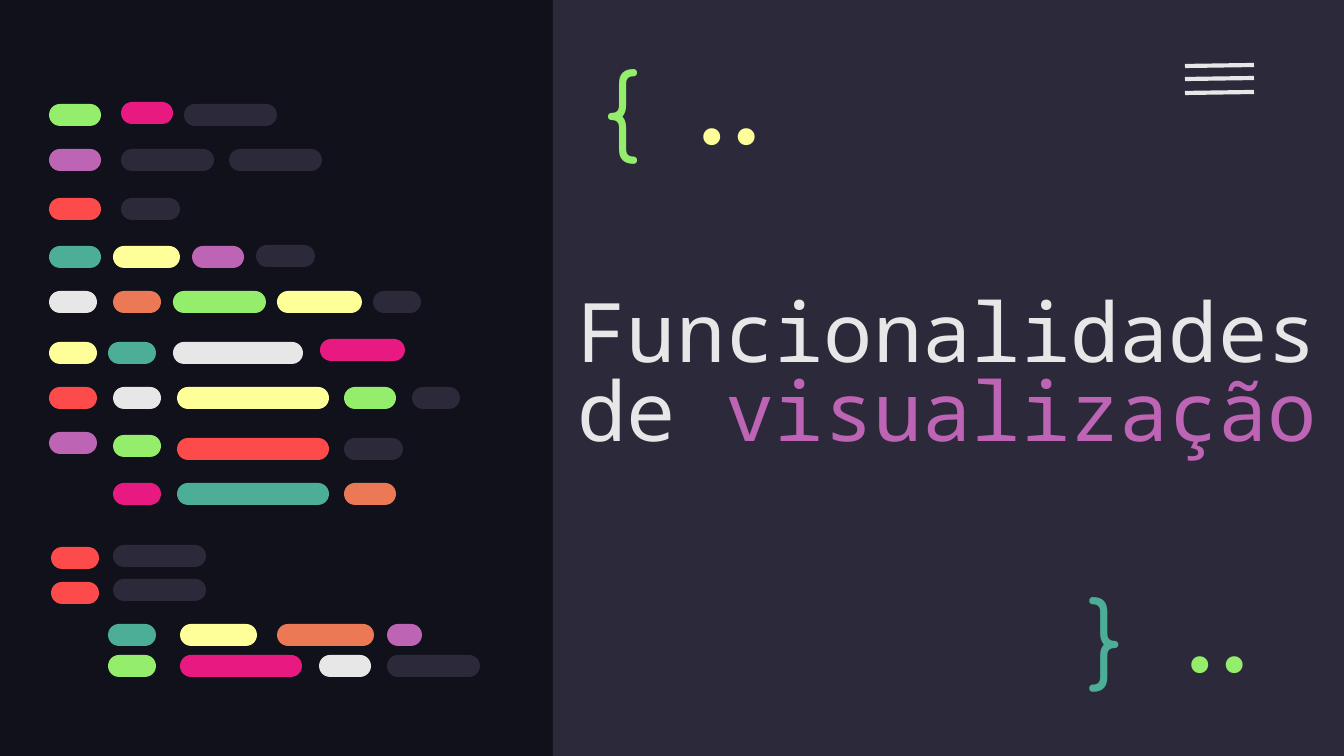
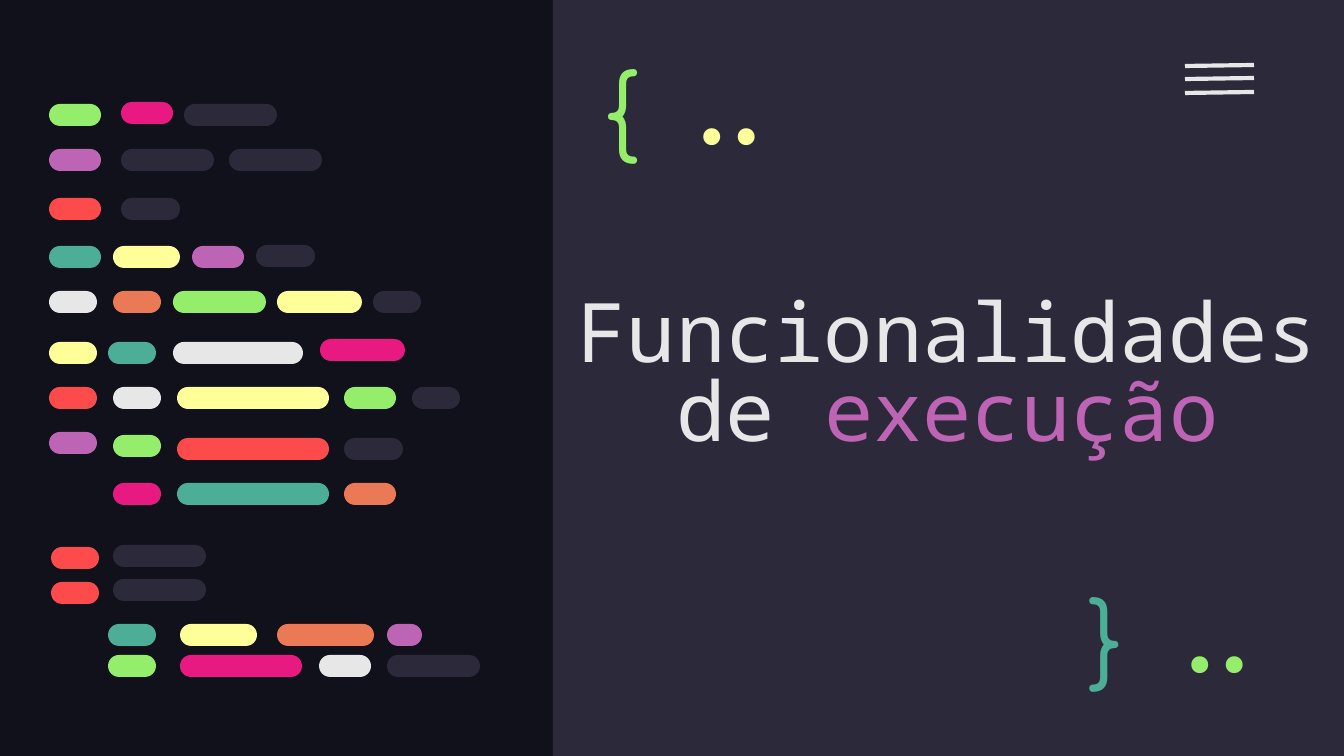
import pptx
import pptx.dml.color
import pptx.enum.shapes
import pptx.enum.text
import pptx.oxml
import pptx.util

RGBColor = pptx.dml.color.RGBColor
SHAPE = pptx.enum.shapes.MSO_SHAPE
ALIGN = pptx.enum.text.PP_ALIGN
ANCHOR = pptx.enum.text.MSO_ANCHOR

NIGHT = RGBColor(0x10, 0x11, 0x1A)
SLATE = RGBColor(0x2C, 0x29, 0x3A)
WHITE = RGBColor(0xE7, 0xE7, 0xE7)
GREEN = RGBColor(0x94, 0xEE, 0x6B)
PINK = RGBColor(0xE8, 0x1A, 0x81)
PURPLE = RGBColor(0xBD, 0x64, 0xB5)
RED = RGBColor(0xFD, 0x4A, 0x4A)
TEAL = RGBColor(0x4C, 0xAE, 0x97)
YELLOW = RGBColor(0xFF, 0xFF, 0x99)
ORANGE = RGBColor(0xEC, 0x79, 0x55)

TITLE_FONT = "Noto Sans Mono"
BRACE_FONT = "Comfortaa"
DOTS_FONT = "Fira Code"

EMU_PER_PX = 914400 / 134.4
SLIDE_W, SLIDE_H = 1344, 756
PANEL = (553, 0, 791, 756)
CODE = (49, 102, 431, 575)
PILL_H = 22
INSET = 13

# Each row: top, then (left, width, colour, optional vertical shift).
CODE_ROWS = [
    (2, [(0, 52, GREEN), (72, 52, PINK, -2), (135, 93, SLATE)]),
    (47, [(0, 52, PURPLE), (72, 93, SLATE), (180, 93, SLATE)]),
    (96, [(0, 52, RED), (72, 59, SLATE)]),
    (144, [(0, 52, TEAL), (64, 67, YELLOW), (143, 52, PURPLE), (207, 59, SLATE, -1)]),
    (189, [(0, 48, WHITE), (64, 48, ORANGE), (124, 93, GREEN), (228, 85, YELLOW),
           (324, 48, SLATE)]),
    (240, [(0, 48, YELLOW), (59, 48, TEAL), (124, 130, WHITE), (271, 85, PINK, -3)]),
    (285, [(0, 48, RED), (64, 48, WHITE), (128, 152, YELLOW), (295, 52, GREEN),
           (363, 48, SLATE)]),
    (330, [(0, 48, PURPLE), (64, 48, GREEN, 3), (128, 152, RED, 6), (295, 59, SLATE, 6)]),
    (381, [(64, 48, PINK), (128, 152, TEAL), (295, 52, ORANGE)]),
    (445, [(2, 48, RED), (64, 93, SLATE, -2)]),
    (480, [(2, 48, RED), (64, 93, SLATE, -3)]),
    (522, [(59, 48, TEAL), (131, 77, YELLOW), (228, 97, ORANGE), (338, 35, PURPLE)]),
    (553, [(59, 48, GREEN), (131, 122, PINK), (270, 52, WHITE), (338, 93, SLATE)]),
]


def px(n):
    return pptx.util.Emu(round(n * EMU_PER_PX))


def add_block(shapes, kind, x, y, w, h, color):
    s = shapes.add_shape(kind, px(x), px(y), px(w), px(h))
    s.shadow.inherit = False
    s.fill.solid()
    s.fill.fore_color.rgb = color
    s.line.fill.background()
    return s


def set_frame(tf, anchor):
    tf.word_wrap = True
    tf.auto_size = pptx.enum.text.MSO_AUTO_SIZE.NONE
    tf.vertical_anchor = anchor
    tf.margin_left = tf.margin_right = tf.margin_top = tf.margin_bottom = px(INSET)


def set_font(r, font, size, color):
    r.font.name = font
    r.font.size = pptx.util.Pt(size)
    r.font.color.rgb = color


def add_symbol(slide, x, y, w, h, text, font, color, align, anchor):
    tf = slide.shapes.add_textbox(px(x), px(y), px(w), px(h)).text_frame
    set_frame(tf, anchor)
    p = tf.paragraphs[0]
    p.text = text
    p.alignment = align
    set_font(p.runs[0], font, 50, color)


def add_menu(shapes, x, y, w):
    grp = shapes.add_group_shape()
    for i in range(3):
        top = y + i * 27 // 2
        line = grp.shapes.add_connector(
            pptx.enum.shapes.MSO_CONNECTOR.STRAIGHT, px(x), px(top), px(x + w), px(top - 1))
        line.line.color.rgb = WHITE
        line.line.width = pptx.util.Pt(2.25)
        sp_pr = line.element.spPr
        sp_pr.append(sp_pr.makeelement(pptx.oxml.ns.qn("a:effectLst"), {}))
    return grp


def move_backdrop_to_layout(slide, layout, box):
    x, y, w, h = box
    panel = add_block(slide.shapes, SHAPE.RECTANGLE, x, y, w, h, SLATE)
    menu = add_menu(slide.shapes, x + 632, y + 66, 69)
    for s in (panel, menu):
        layout.shapes.element.append(s.element)


def add_code(slide, box):
    x, y = box[:2]
    grp = slide.shapes.add_group_shape()
    for top, pills in CODE_ROWS:
        for left, w, color, *shift in pills:
            s = add_block(grp.shapes, SHAPE.ROUNDED_RECTANGLE,
                          x + left, y + top + sum(shift), w, PILL_H, color)
            s.adjustments[0] = 0.5


def set_title(slide, box, lead, accent):
    x, y, w, h = box
    s = slide.shapes.title
    s.left, s.top, s.width, s.height = px(x), px(y), px(w), px(h)
    set_frame(s.text_frame, ANCHOR.MIDDLE)
    p = s.text_frame.paragraphs[0]
    p.alignment = ALIGN.CENTER
    p.line_spacing = 0.8
    for text, color in ((lead, WHITE), (accent, PURPLE)):
        r = p.add_run()
        r.text = text
        set_font(r, TITLE_FONT, 44, color)


def add_symbols(slide, box):
    x, y = box[:2]
    for left, top, w, h, text, color in ((37, 36, 103, 128, "{", GREEN),
                                         (522, 564, 77, 112, "}", TEAL)):
        add_symbol(slide, x + left, y + top, w, h, text, BRACE_FONT, color,
                   ALIGN.LEFT, ANCHOR.TOP)
    for left, top, color in ((591, 595, GREEN), (103, 67, YELLOW)):
        add_symbol(slide, x + left, y + top, 144, 81, "..", DOTS_FONT, color,
                   ALIGN.RIGHT, ANCHOR.MIDDLE)


def fill_section(slide, accent):
    x, y, w, h = PANEL
    set_title(slide, (x - 2, y + 192, w + 2, 372), "Funcionalidades de ", accent)
    add_code(slide, CODE)
    add_symbols(slide, PANEL)


def main():
    prs = pptx.Presentation()
    prs.slide_width, prs.slide_height = px(SLIDE_W), px(SLIDE_H)
    fill = prs.slide_master.background.fill
    fill.solid()
    fill.fore_color.rgb = NIGHT
    layout = prs.slide_layouts[5]
    slides = [prs.slides.add_slide(layout) for _ in range(2)]
    move_backdrop_to_layout(slides[0], layout, PANEL)
    for slide, accent in zip(slides, ("visualização", "execução")):
        fill_section(slide, accent)
    prs.save("out.pptx")


if __name__ == "__main__":
    main()
